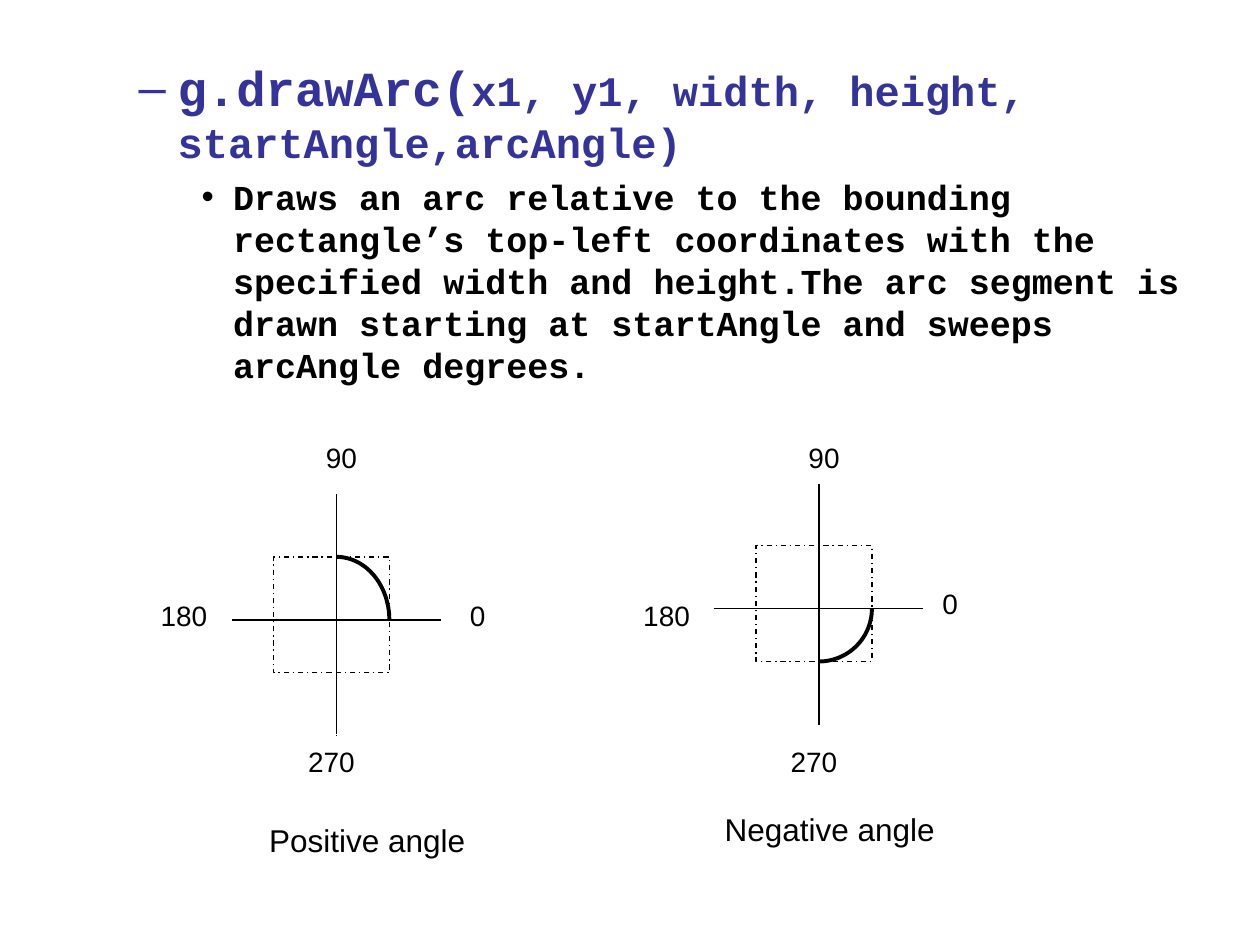
"""Build a slide explaining g.drawArc with positive and negative sweep angles."""
from math import cos, radians, sin

from lxml import etree
from pptx import Presentation
from pptx.dml.color import RGBColor
from pptx.enum.dml import MSO_LINE
from pptx.enum.shapes import MSO_CONNECTOR, MSO_SHAPE
from pptx.enum.text import MSO_ANCHOR, MSO_AUTO_SIZE, PP_ALIGN
from pptx.oxml.ns import qn
from pptx.util import Inches, Pt

DASH_DOT = MSO_LINE.DASH_DOT
STRAIGHT = MSO_CONNECTOR.STRAIGHT
RECT = MSO_SHAPE.RECTANGLE
MIDDLE = MSO_ANCHOR.MIDDLE
NO_AUTOFIT = MSO_AUTO_SIZE.NONE
CENTER = PP_ALIGN.CENTER


def rgb(color):
    """Return the colour for a hex string."""
    return RGBColor.from_string(color)


def outline(s, color="000000", width=0.75):
    """Give a shape an unfilled outline without shadow."""
    s.shadow.inherit = False
    s.fill.background()
    s.line.color.rgb = rgb(color)
    s.line.width = Pt(width)


prs = Presentation()
prs.slide_width, prs.slide_height = Inches(10), Inches(7.5)
slide = prs.slides.add_slide(prs.slide_layouts[1])
title = slide.shapes.title
title.element.getparent().remove(title.element)

body = slide.placeholders[1]
body.left, body.top = Inches(0.5), Inches(0.33)
body.width, body.height = Inches(9), Inches(6.75)
tf = body.text_frame
tf.auto_size = NO_AUTOFIT
tf.margin_top = Inches(0.13)

paragraphs = [
    (1, 0.81, -0.31, 0, "–", "333399",
     [("g.drawArc(", 28), ("x1, y1, width, height, startAngle,arcAngle)", 24)]),
    (2, 1.25, -0.25, 5, "•", "000000",
     [("Draws an arc relative to the bounding rectangle’s top-left coordinates "
       "with the specified width and height.The arc segment is drawn starting "
       "at startAngle and sweeps arcAngle degrees.", 20)]),
]
for i, (level, margin, indent, before, bullet, color, runs) in enumerate(paragraphs):
    p = tf.add_paragraph() if i else tf.paragraphs[0]
    p.level = level
    p.space_before = Pt(before)
    pPr = p._p.get_or_add_pPr()
    pPr.set("marL", str(Inches(margin)))
    pPr.set("indent", str(Inches(indent)))
    bullet_color = etree.SubElement(pPr, qn("a:buClr"))
    etree.SubElement(bullet_color, qn("a:srgbClr"), val=color)
    etree.SubElement(pPr, qn("a:buFont"), typeface="Arial")
    etree.SubElement(pPr, qn("a:buChar"), char=bullet)
    for text, size in runs:
        r = p.add_run()
        r.text = text
        for name, value in {"name": "Courier New", "size": Pt(size), "bold": True}.items():
            setattr(r.font, name, value)
        r.font.color.rgb = rgb(color)

diagrams = [
    ("Positive angle", 2.67, 4.92, 90, 0.5, 3.58, 1.83),
    ("Negative angle", 6.5, 4.83, -90, 0.42, 7.33, 5.5),
]
for caption, cx, cy, sweep, radius_y, zero_x, caption_x in diagrams:
    axes = [(cx, cy - 1, cx, cy + 0.92), (cx - 0.83, cy, cx + 0.83, cy)]
    for ends in axes:
        line = slide.shapes.add_connector(STRAIGHT, *map(Inches, ends))
        line.line.color.rgb = rgb("000000")
        line.line.width = Pt(0.75)
        etree.SubElement(line.element.spPr, qn("a:effectLst"))

    bounds = slide.shapes.add_shape(
        RECT, Inches(cx - 0.5), Inches(cy - 0.5), Inches(0.92), Inches(0.92))
    outline(bounds)
    bounds.line.dash_style = DASH_DOT

    labels = [
        ("180", cx - 1.42, 4.67, 0.42, 0.42, 16),
        ("270", cx - 0.25, 5.83, 0.42, 0.42, 16),
        ("90", cx - 0.17, 3.42, 0.42, 0.42, 16),
        ("0", zero_x, cy - 0.25, 0.42, 0.42, 16),
        (caption, caption_x, cy + 1.5, 2.17, 0.5, 18),
    ]
    for text, left, top, width, height, size in labels:
        s = slide.shapes.add_shape(RECT, *map(Inches, (left, top, width, height)))
        outline(s, "FFFFFF")
        s.text_frame.word_wrap = False
        s.text_frame.vertical_anchor = MIDDLE
        p = s.text_frame.paragraphs[0]
        p.alignment = CENTER
        r = p.add_run()
        r.text = text
        for name, value in {"name": "Arial", "size": Pt(size)}.items():
            setattr(r.font, name, value)
        r.font.color.rgb = rgb("000000")

    angles = [radians(sweep * step / 30) for step in range(31)]
    points = [(Inches(cx + 0.42 * cos(a)), Inches(cy - radius_y * sin(a))) for a in angles]
    builder = slide.shapes.build_freeform(*points[0])
    builder.add_line_segments(points[1:], close=False)
    outline(builder.convert_to_shape(), width=2.25)

prs.save("out.pptx")
